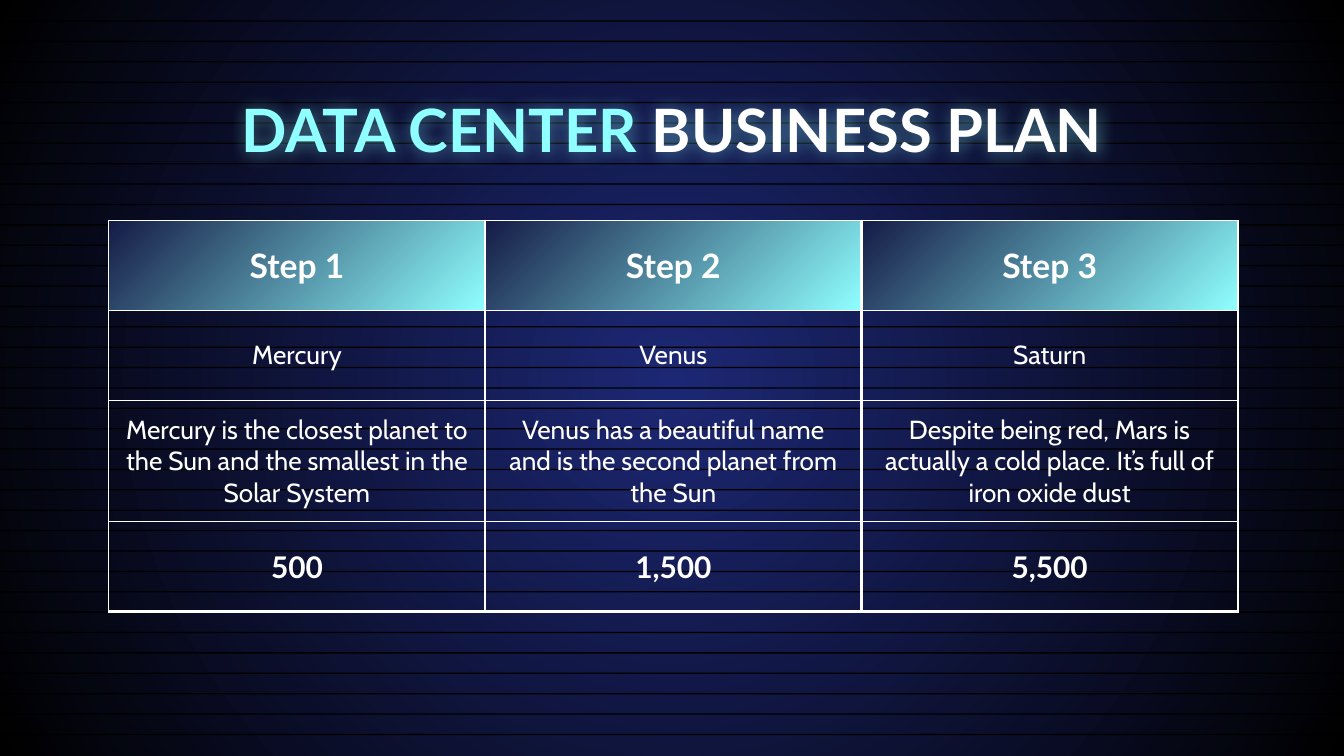
from lxml import etree
from pptx import Presentation
from pptx.dml.color import RGBColor
from pptx.enum.shapes import MSO_SHAPE as SHAPE
from pptx.enum.text import MSO_ANCHOR as ANCHOR, PP_ALIGN as ALIGN
from pptx.oxml.ns import qn
from pptx.util import Inches, Pt

WHITE, CYAN, BLACK = "FFFFFF", "8FFFFF", "000000"
NAVY, BLUE = "151B46", "1D2875"
WIDTH = 10
HEIGHT = WIDTH * 9 / 16

# Font, size and weight of each table row, with its three cells
ROWS = [
    ("Lato", 18, True, ["Step 1", "Step 2", "Step 3"]),
    ("Cabin", 14, False, ["Mercury", "Venus", "Saturn"]),
    ("Cabin", 14, False, [
        "Mercury is the closest planet to the Sun and the smallest in the Solar System",
        "Venus has a beautiful name and is the second planet from the Sun",
        "Despite being red, Mars is actually a cold place. It’s full of iron oxide dust",
    ]),
    ("Lato", 16, True, ["500", "1,500", "5,500"]),
]


def rgb(color):
    return RGBColor.from_string(color)


def child(parent, tag, **attrs):
    return etree.SubElement(parent, qn(tag), {k: str(v) for k, v in attrs.items()})


def add_run(p, text, font, size, color, bold):
    r = p.add_run()
    r.text = text
    r.font.name, r.font.size, r.font.bold = font, Pt(size), bold
    r.font.color.rgb = rgb(color)


def set_gradient(fill, start, end):
    fill.gradient()
    for stop, color, position in zip(fill.gradient_stops, (start, end), (0, 1)):
        stop.color.rgb = rgb(color)
        stop.position = position


def add_background(s, width):
    # Radial gradient
    set_gradient(s.background.fill, BLUE, BLACK)
    grad = s.background._cSld.find(".//" + qn("a:gradFill"))
    grad.remove(grad.find(qn("a:lin")))
    radial = child(grad, "a:path", path="circle")
    child(radial, "a:fillToRect", l=50000, t=50000, r=50000, b=50000)

    # Evenly spaced scan lines
    count, last = 36, 5.46
    for i in range(1, count + 1):
        line = s.shapes.add_shape(SHAPE.RECTANGLE, 0, Inches(last * i / count),
                                  Inches(width), Inches(0.01))
        line.shadow.inherit = False
        line.fill.solid()
        line.fill.fore_color.rgb = rgb(BLACK)
        line.line.fill.background()


def add_title(s, x, y, w, h):
    box = s.shapes.add_textbox(Inches(x), Inches(y), Inches(w), Inches(h))
    tf = box.text_frame
    tf.word_wrap = True
    tf.margin_left = tf.margin_right = tf.margin_top = tf.margin_bottom = Inches(0.1)
    p = tf.paragraphs[0]
    p.alignment = ALIGN.CENTER
    for text, color in (("DATA CENTER ", CYAN), ("BUSINESS PLAN", WHITE)):
        add_run(p, text, "Lato", 32, color, True)

    # Soft cyan halo behind the letters
    effects = child(box._element.spPr, "a:effectLst")
    halo = child(effects, "a:outerShdw", blurRad=Pt(9), dist=0, dir=0,
                 algn="bl", rotWithShape=0)
    child(child(halo, "a:srgbClr", val=CYAN), "a:alpha", val=45000)


def set_borders(cell, left, right, top, bottom):
    tc_pr = cell._tc.get_or_add_tcPr()
    sides = zip("LRTB", (left, right, top, bottom))
    for i, (side, width) in enumerate(sides):
        ln = child(tc_pr, "a:ln" + side, w=Pt(width))
        child(child(ln, "a:solidFill"), "a:srgbClr", val=WHITE)
        tc_pr.insert(i, ln)


def add_plan_table(s, x, y, w, row_h):
    n_rows, n_cols = len(ROWS), len(ROWS[0][3])
    frame = s.shapes.add_table(n_rows, n_cols, Inches(x), Inches(y),
                               Inches(w), Inches(row_h * n_rows))
    table = frame.table
    table.first_row = table.horz_banding = False
    for i, (font, size, bold, texts) in enumerate(ROWS):
        table.rows[i].height = Inches(row_h)
        for j, text in enumerate(texts):
            cell = table.cell(i, j)
            cell.vertical_anchor = ANCHOR.MIDDLE
            cell.margin_left = cell.margin_right = Inches(0.1)
            cell.margin_top = cell.margin_bottom = Inches(0.1)
            if i == 0:
                set_gradient(cell.fill, NAVY, CYAN)
                cell.fill.gradient_angle = 315
            else:
                cell.fill.background()
            set_borders(cell, left=1.5 if j else 0.75, right=1.5, top=0.75,
                        bottom=1.5 if i == n_rows - 1 else 0.75)
            p = cell.text_frame.paragraphs[0]
            p.alignment = ALIGN.CENTER
            add_run(p, text, font, size, WHITE, bold)


def main():
    prs = Presentation()
    prs.slide_width, prs.slide_height = Inches(WIDTH), Inches(HEIGHT)
    s = prs.slides.add_slide(prs.slide_layouts[6])
    add_background(s, WIDTH)
    add_title(s, 0.78, 0.59, 8.44, 0.62)
    add_plan_table(s, 0.81, 1.64, 8.4, 0.67)
    prs.save("out.pptx")


if __name__ == "__main__":
    main()
